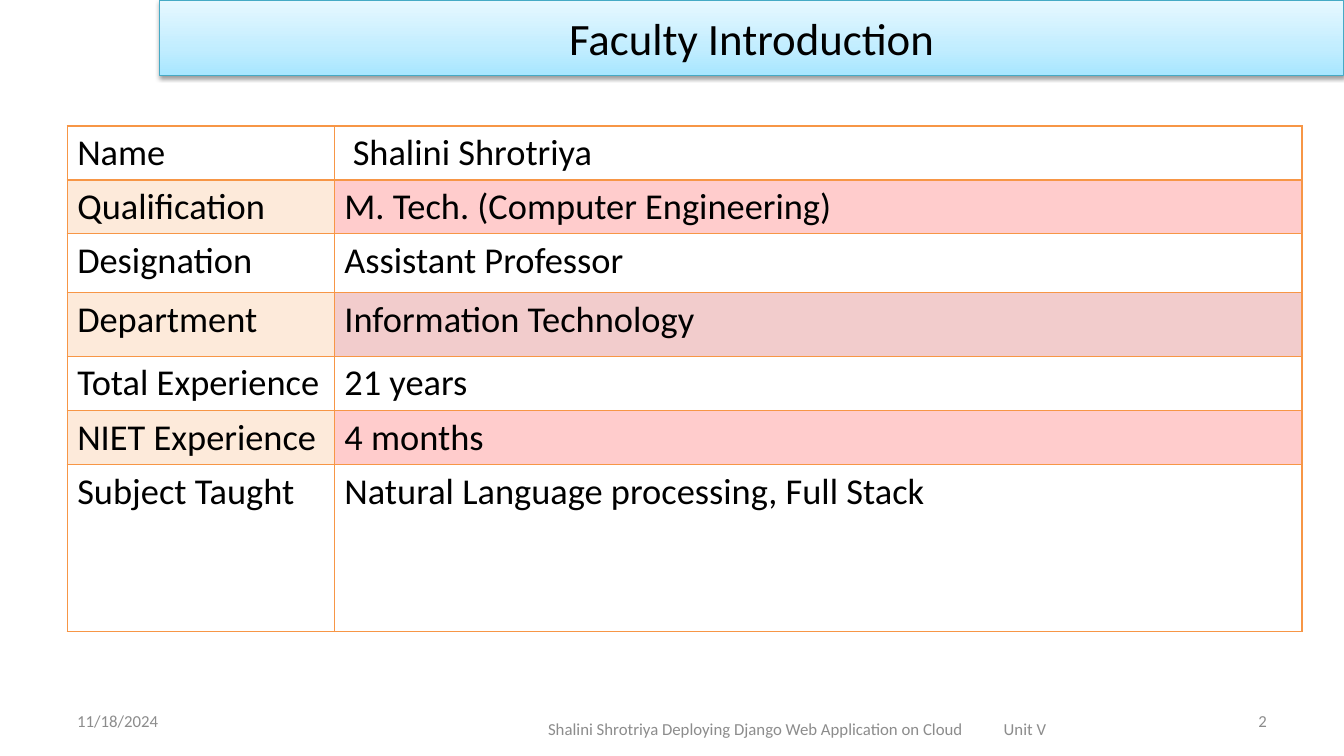
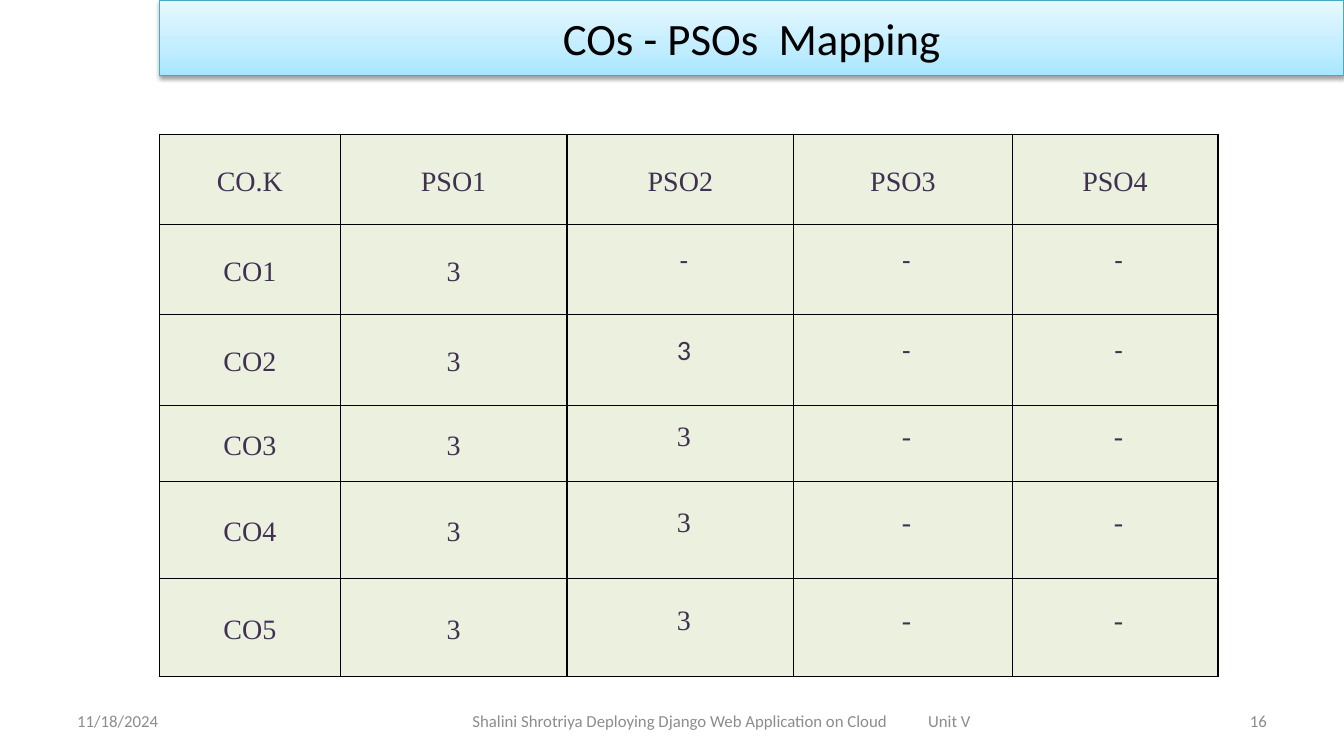
import copy

import pptx
import pptx.dml.color
import pptx.enum.shapes
import pptx.enum.text
import pptx.oxml
import pptx.oxml.ns
import pptx.util

RGBColor = pptx.dml.color.RGBColor
ALIGN = pptx.enum.text.PP_ALIGN
MIDDLE = pptx.enum.text.MSO_ANCHOR.MIDDLE
qn = pptx.oxml.ns.qn
NAMESPACE = pptx.oxml.ns.nsdecls("a")

BLACK = RGBColor(0x00, 0x00, 0x00)
GRAY = RGBColor(0x8C, 0x8C, 0x8C)
TEAL = RGBColor(0x46, 0xAA, 0xC5)
ORANGE = RGBColor(0xF7, 0x96, 0x46)
RED = RGBColor(0xFF, 0x00, 0x00)
DARK_RED = RGBColor(0xC0, 0x00, 0x00)
PURPLE = RGBColor(0x40, 0x31, 0x52)
PALE_GREEN = RGBColor(0xEB, 0xF1, 0xDE)
BAND_STOPS = [
    (0, RGBColor(0xA7, 0xE6, 0xFF)),
    (0.35, RGBColor(0xC1, 0xED, 0xFF)),
    (1, RGBColor(0xE7, 0xF8, 0xFF)),
]
SANS = "Calibri"
SERIF = "Times New Roman"

presentation = pptx.Presentation()
presentation.slide_width = pptx.util.Emu(12192000)
presentation.slide_height = pptx.util.Emu(6858000)
UNIT = presentation.slide_width / 160
MARGIN = 8
BAND_LEFT = 19
FOOTER_TOP = 83.4
FOOTER_HEIGHT = 4.8
FOOTER_WIDTH = 37.33
FOOTER_TEXT_WIDTH = 59.5
UNIT_LABEL_TAB = 54.25


def grid(*units):
    return [pptx.util.Emu(round(unit * UNIT)) for unit in units]


def write(frame, text, size, color, font=SANS, align=ALIGN.LEFT):
    paragraph = frame.paragraphs[0]
    paragraph.alignment = align
    run = paragraph.add_run()
    run.text = text
    run.font.size = pptx.util.Pt(size)
    run.font.name = font
    run.font.color.rgb = color
    return paragraph


slides = []
for title, number, footer_left, footer_top, footer_width in [
    ("Faculty Introduction", "2", 53.5, 84.4, 83),
    ("COs - PSOs  Mapping", "16", 53, FOOTER_TOP, 66),
]:
    slide = presentation.slides.add_slide(presentation.slide_layouts[6])
    slides.append(slide)

    footers = [
        ("11/18/2024", MARGIN, FOOTER_TOP, FOOTER_WIDTH, ALIGN.LEFT),
        ("Shalini Shrotriya Deploying Django Web Application on Cloud\tUnit V",
         footer_left, footer_top, footer_width, ALIGN.LEFT),
        (number, 160 - MARGIN - FOOTER_WIDTH, FOOTER_TOP, FOOTER_WIDTH, ALIGN.RIGHT),
    ]
    for text, left, top, width, align in footers:
        frame = slide.shapes.add_textbox(*grid(left, top, width, FOOTER_HEIGHT)).text_frame
        frame.word_wrap = True
        frame.vertical_anchor = MIDDLE
        paragraph = write(frame, text, 12, GRAY, align=align)
        if "\t" in text:
            frame.margin_left = grid((width - FOOTER_TEXT_WIDTH) / 2)[0]
            position = grid(UNIT_LABEL_TAB)[0]
            paragraph._p.get_or_add_pPr().append(pptx.oxml.parse_xml(
                f'<a:tabLst {NAMESPACE}><a:tab pos="{position}" algn="l"/></a:tabLst>'))

    band = slide.shapes.add_shape(
        pptx.enum.shapes.MSO_SHAPE.RECTANGLE, *grid(BAND_LEFT, 0, 160 - BAND_LEFT, 9))
    band.fill.gradient()
    band.fill.gradient_angle = 90
    stop_list = band._element.spPr.find(".//" + qn("a:gsLst"))
    stop_list.append(copy.deepcopy(stop_list[0]))
    for stop, (position, color) in zip(band.fill.gradient_stops, BAND_STOPS):
        stop.position = position
        stop.color.rgb = color
    band.line.color.rgb = TEAL
    band.line.width = pptx.util.Pt(0.75)
    band.shadow.inherit = False
    band._element.spPr.find(qn("a:effectLst")).append(pptx.oxml.parse_xml(
        f'<a:outerShdw {NAMESPACE} blurRad="{pptx.util.Pt(3.1)}" dist="{pptx.util.Pt(1.6)}" '
        'dir="5400000" rotWithShape="0"><a:srgbClr val="000000"><a:alpha val="38000"/>'
        '</a:srgbClr></a:outerShdw>'))
    band.text_frame.vertical_anchor = MIDDLE
    write(band.text_frame, title, 32, BLACK, align=ALIGN.CENTER)

faculty_rows = [
    ("Name", "Shalini Shrotriya", None),
    ("Qualification", "M. Tech. (Computer Engineering)", RED),
    ("Designation", "Assistant Professor", None),
    ("Department", "Information Technology", DARK_RED),
    ("Total Experience", "21 years", None),
    ("NIET Experience", "4 months", RED),
    ("Subject Taught", "Natural Language processing, Full Stack", None),
]
mapping_rows = [
    ["CO.K", "PSO1", "PSO2", "PSO3", "PSO4"],
    ["CO1", "3", "-", "-", "-"],
    ["CO2", "3", "3", "-", "-"],
    ["CO3", "3", "3", "-", "-"],
    ["CO4", "3", "3", "-", "-"],
    ["CO5", "3", "3", "-", "-"],
]
tables = []
for slide, left, top, widths, heights, border in [
    (slides[0], MARGIN, 15, [31.8, 115.2], [6.2, 6.2, 7, 7.6, 6.5, 6.2, 19.9], ORANGE),
    (slides[1], BAND_LEFT, 16, [21.5, 27, 27, 26, 24.5],
     [10.7, 10.7, 10.9, 9, 11.6, 11.6], BLACK),
]:
    table = slide.shapes.add_table(
        len(heights), len(widths), *grid(left, top, sum(widths), sum(heights))).table
    tables.append(table)
    table.first_row = False
    table.horz_banding = False
    for column, width in zip(table.columns, grid(*widths)):
        column.width = width
    for row, height in zip(table.rows, grid(*heights)):
        row.height = height
    for row_index, row in enumerate(table.rows):
        for cell in row.cells:
            cell.fill.background()
            properties = cell._tc.get_or_add_tcPr()
            for index, side in enumerate(["L", "R", "T", "B"]):
                heavy = border == ORANGE and (row_index, side) in [(0, "B"), (1, "T")]
                width = pptx.util.Pt(2 if heavy else 1)
                properties.insert(index, pptx.oxml.parse_xml(
                    f'<a:ln{side} {NAMESPACE} w="{width}"><a:solidFill>'
                    f'<a:srgbClr val="{border}"/></a:solidFill></a:ln{side}>'))

faculty_table, mapping_table = tables
for row, (label, detail, tint) in zip(faculty_table.rows, faculty_rows):
    for cell, text, color in zip(row.cells, [label, detail], [ORANGE, tint]):
        write(cell.text_frame, text, 26, BLACK)
        if tint:
            cell.fill.solid()
            cell.fill.fore_color.rgb = color
            cell._tc.tcPr.find(qn("a:solidFill"))[0].append(
                pptx.oxml.parse_xml(f'<a:alpha {NAMESPACE} val="20000"/>'))
faculty_table.cell(0, 1).margin_left = grid(2.2)[0]
faculty_table.cell(6, 1).text_frame.paragraphs[0].alignment = ALIGN.JUSTIFY

for row_index, (row, texts) in enumerate(zip(mapping_table.rows, mapping_rows)):
    for column_index, (cell, text) in enumerate(zip(row.cells, texts)):
        cell.fill.solid()
        cell.fill.fore_color.rgb = PALE_GREEN
        cell.vertical_anchor = MIDDLE
        cell.margin_left = cell.margin_right = pptx.util.Inches(0.07)
        cell.margin_top = cell.margin_bottom = 0
        is_score = row_index > 0 and column_index > 1
        font = SANS if is_score and row_index < 3 else SERIF
        paragraph = write(cell.text_frame, text, 20, PURPLE, font, ALIGN.CENTER)
        paragraph.line_spacing = pptx.util.Pt(12.3) if is_score else 1.15
        if is_score:
            paragraph._p.get_or_add_pPr().set("marL", str(pptx.util.Inches(0.07)))

presentation.save("out.pptx")
